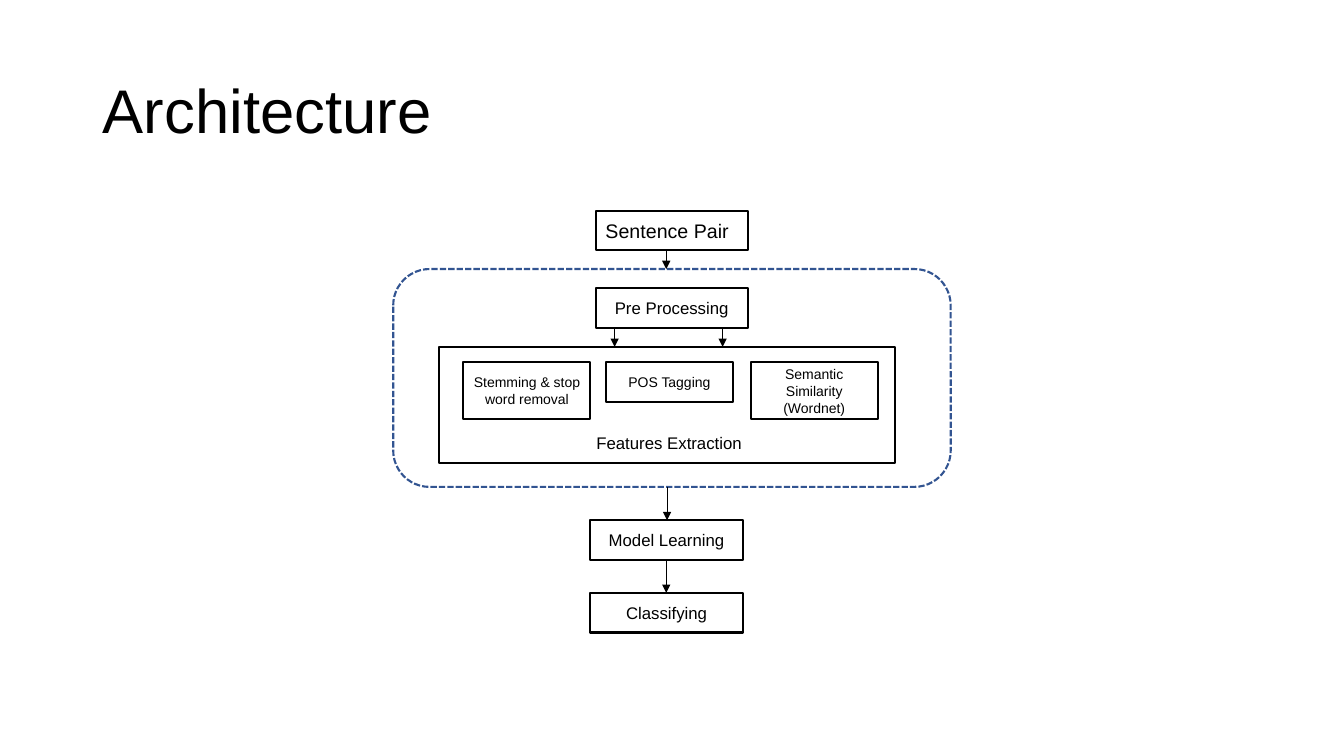
from dataclasses import dataclass

from lxml.etree import SubElement
from pptx import Presentation
from pptx.dml.color import RGBColor
from pptx.enum.dml import MSO_LINE
from pptx.enum.shapes import MSO_CONNECTOR, MSO_SHAPE
from pptx.enum.text import MSO_ANCHOR, MSO_AUTO_SIZE, PP_ALIGN
from pptx.oxml.ns import qn
from pptx.slide import Slide
from pptx.text.text import TextFrame
from pptx.util import Cm, Pt


@dataclass(frozen=True)
class Theme:
    font: str = "Arial"
    ink: RGBColor = RGBColor(0x00, 0x00, 0x00)
    paper: RGBColor = RGBColor(0xFF, 0xFF, 0xFF)
    frame: RGBColor = RGBColor(0x32, 0x54, 0x91)
    title: Pt = Pt(44)
    large: Pt = Pt(14)
    body: Pt = Pt(12)
    small: Pt = Pt(10)
    outline: Pt = Pt(1.5)
    arrow: Pt = Pt(0.5)


THEME = Theme()


@dataclass(frozen=True)
class Box:
    text: str
    left: float
    top: float
    width: float = 3.84
    height: float = 1.0
    size: Pt = THEME.body
    align: PP_ALIGN = PP_ALIGN.CENTER


@dataclass(frozen=True)
class Arrow:
    x: float
    top: float
    bottom: float


def write(tf: TextFrame, text: str, size: Pt, align: PP_ALIGN) -> None:
    tf.word_wrap = True
    p = tf.paragraphs[0]
    p.alignment = align
    r = p.add_run()
    r.text = text
    r.font.name = THEME.font
    r.font.size = size
    r.font.color.rgb = THEME.ink


def add_box(s: Slide, box: Box) -> None:
    sp = s.shapes.add_shape(MSO_SHAPE.RECTANGLE, Cm(box.left), Cm(box.top),
                            Cm(box.width), Cm(box.height))
    sp.shadow.inherit = False
    sp.fill.solid()
    sp.fill.fore_color.rgb = THEME.paper
    sp.line.color.rgb = THEME.ink
    sp.line.width = THEME.outline
    if box.text:
        sp.text_frame.vertical_anchor = MSO_ANCHOR.MIDDLE
        write(sp.text_frame, box.text, box.size, box.align)


def add_arrow(s: Slide, arrow: Arrow) -> None:
    sp = s.shapes.add_connector(MSO_CONNECTOR.STRAIGHT, Cm(arrow.x), Cm(arrow.top),
                                Cm(arrow.x), Cm(arrow.bottom))
    sp.line.color.rgb = THEME.ink
    sp.line.width = THEME.arrow
    SubElement(sp.line._get_or_add_ln(), qn("a:tailEnd"), type="triangle")
    SubElement(sp._element.spPr, qn("a:effectLst"))


def add_title(s: Slide, text: str) -> None:
    sp = s.shapes.title
    sp.left, sp.top, sp.width, sp.height = Cm(2.34), Cm(1.02), Cm(29.21), Cm(3.68)
    tf = sp.text_frame
    tf.vertical_anchor = MSO_ANCHOR.MIDDLE
    write(tf, text, THEME.title, PP_ALIGN.LEFT)
    tf.paragraphs[0].line_spacing = 0.9


def add_label(s: Slide, text: str) -> None:
    sp = s.shapes.add_textbox(Cm(14.78), Cm(10.77), Cm(4.27), Cm(0.76))
    write(sp.text_frame, text, THEME.body, PP_ALIGN.LEFT)
    sp.text_frame.auto_size = MSO_AUTO_SIZE.SHAPE_TO_FIT_TEXT


def add_frame(s: Slide) -> None:
    sp = s.shapes.add_shape(MSO_SHAPE.ROUNDED_RECTANGLE, Cm(9.91), Cm(6.78),
                            Cm(14.05), Cm(5.49))
    sp.shadow.inherit = False
    sp.fill.background()
    sp.line.color.rgb = THEME.frame
    sp.line.width = THEME.outline
    sp.line.dash_style = MSO_LINE.SQUARE_DOT


BOXES = [
    Box("Sentence Pair", 15.01, 5.31, size=THEME.large, align=PP_ALIGN.LEFT),
    Box("Pre Processing", 15.01, 7.26),
    Box("", 11.07, 8.74, 11.48, 2.92),
    Box("Stemming & stop word removal", 11.68, 9.12, 3.2, 1.45, THEME.small),
    Box("POS Tagging", 15.27, 9.12, 3.2, 1.02, THEME.small),
    Box("Semantic Similarity (Wordnet)", 18.92, 9.12, 3.2, 1.45, THEME.small),
    Box("Model Learning", 14.88, 13.11),
    Box("Classifying", 14.88, 14.94),
]
ARROWS = [
    Arrow(16.79, 6.3, 6.78),
    Arrow(15.49, 8.26, 8.74),
    Arrow(18.21, 8.26, 8.74),
    Arrow(16.81, 12.27, 13.11),
    Arrow(16.79, 14.12, 14.94),
]

prs = Presentation()
prs.slide_width, prs.slide_height = Cm(33.87), Cm(19.05)
s = prs.slides.add_slide(prs.slide_layouts[5])
add_title(s, "Architecture")
add_frame(s)
for box in BOXES:
    add_box(s, box)
add_label(s, "Features Extraction")
for arrow in ARROWS:
    add_arrow(s, arrow)
prs.save("out.pptx")
